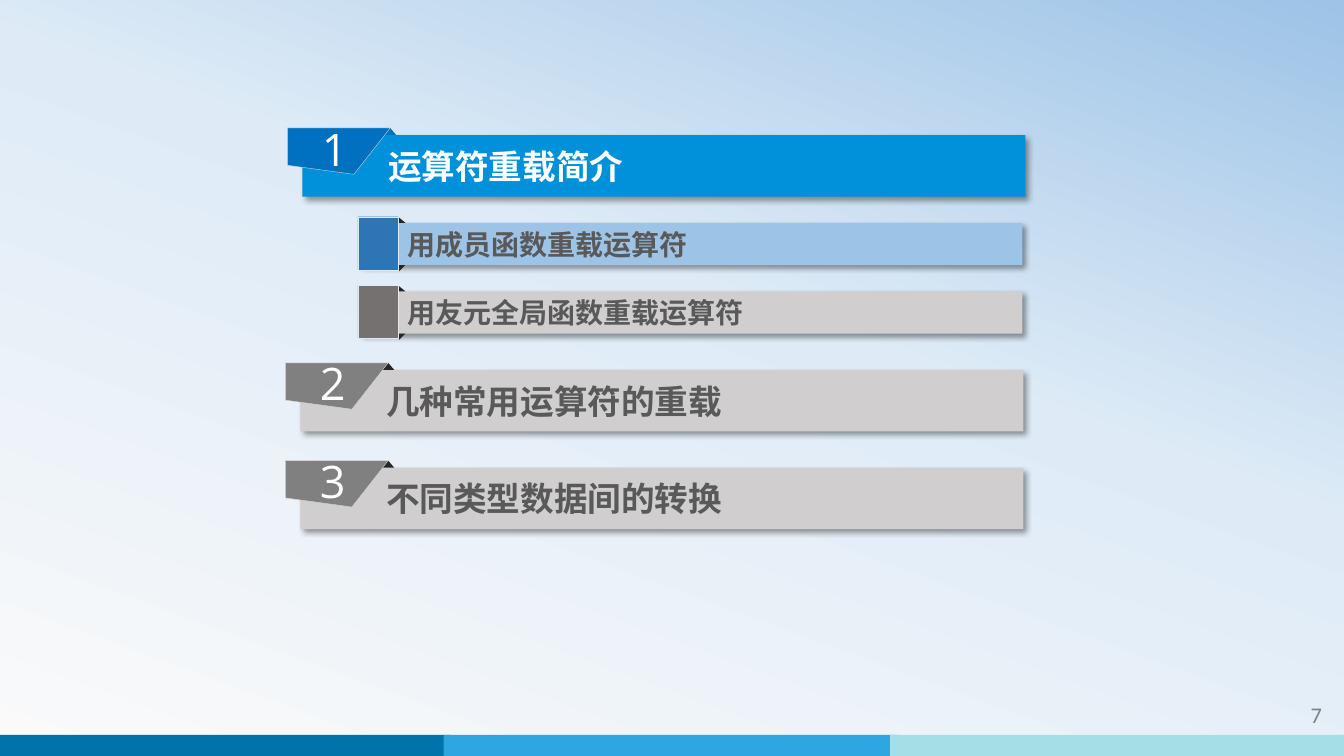
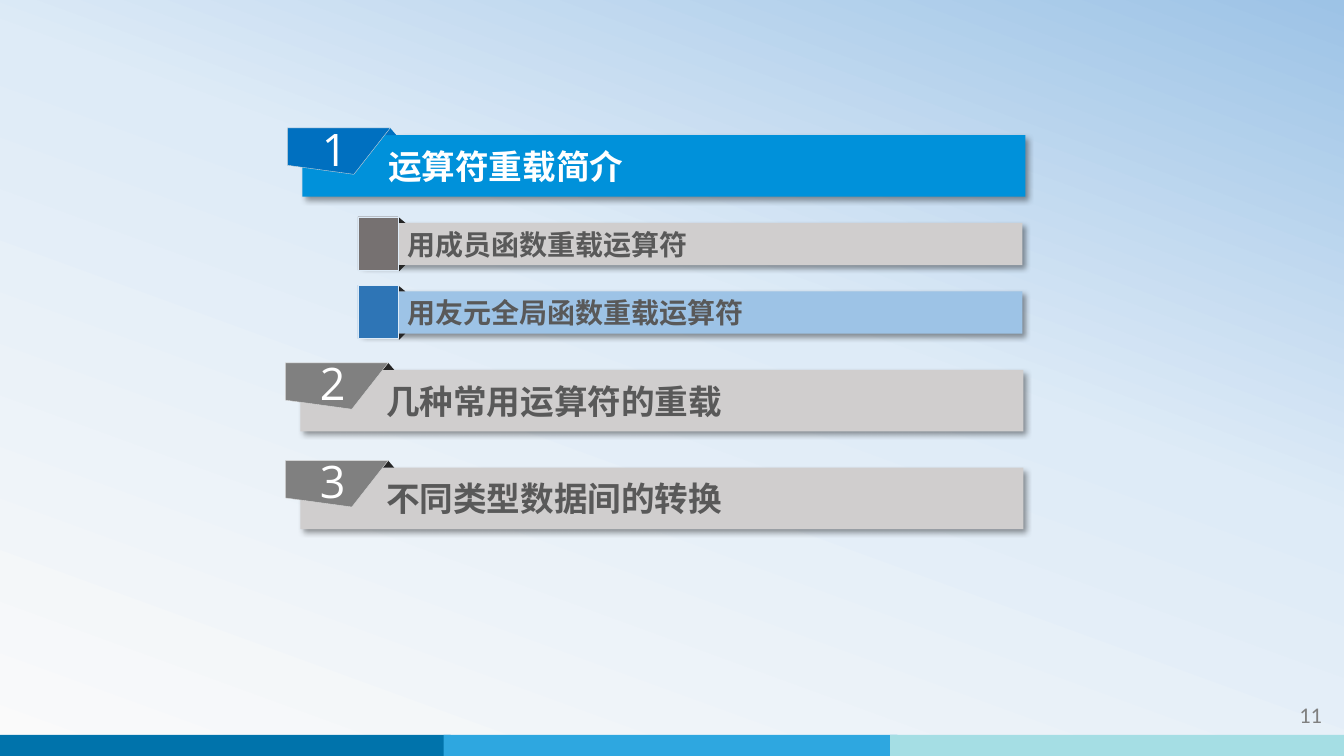
from copy import deepcopy

from lxml import etree
from pptx import Presentation
from pptx.dml.color import RGBColor
from pptx.enum.shapes import MSO_SHAPE
from pptx.enum.text import MSO_ANCHOR, PP_ALIGN
from pptx.oxml.ns import qn
from pptx.util import Inches, Pt

RECT, TRIANGLE = MSO_SHAPE.RECTANGLE, MSO_SHAPE.ISOSCELES_TRIANGLE
LEFT, CENTER, RIGHT = PP_ALIGN.LEFT, PP_ALIGN.CENTER, PP_ALIGN.RIGHT
MIDDLE, TOP = MSO_ANCHOR.MIDDLE, MSO_ANCHOR.TOP

WHITE = RGBColor(0xFF, 0xFF, 0xFF)
BLUE = RGBColor(0x00, 0x91, 0xDA)
DEEP_BLUE = RGBColor(0x00, 0x70, 0xC0)
MARK_BLUE = RGBColor(0x2E, 0x75, 0xB6)
SOFT_BLUE = RGBColor(0x9D, 0xC3, 0xE6)
PALE_BLUE = RGBColor(0xDE, 0xEB, 0xF7)
OFF_WHITE = RGBColor(0xFA, 0xFA, 0xFA)
SILVER = RGBColor(0xD0, 0xCE, 0xCE)
EDGE = RGBColor(0xD9, 0xD9, 0xD9)
GRAY = RGBColor(0x80, 0x80, 0x80)
MARK_GRAY = RGBColor(0x76, 0x71, 0x71)
TEXT_GRAY = RGBColor(0x59, 0x59, 0x59)
FOLD = RGBColor(0x26, 0x26, 0x26)
BANDS = [(-0.03, RGBColor(0x00, 0x73, 0xAB)),
         (4.4, RGBColor(0x2E, 0xA7, 0xE0)),
         (8.83, RGBColor(0xA5, 0xDE, 0xE4))]
BACKGROUND = [(0, OFF_WHITE), (0.58, PALE_BLUE), (1, SOFT_BLUE)]

CJK, DIGIT, FOOTER = "Noto Sans CJK SC", "Open Sans", "Calibri"

OUTLINE = [
    ("运算符重载简介", ["用成员函数重载运算符", "用友元全局函数重载运算符"]),
    ("几种常用运算符的重载", []),
    ("不同类型数据间的转换", []),
]
SLIDES = [("7", "用成员函数重载运算符"), ("11", "用友元全局函数重载运算符")]

FIRST_TOP = 1.34
CHAPTER_W, CHAPTER_H, CHAPTER_GAP = 7.17, 0.61, 0.36
SECTION_X, SECTION_W, SECTION_H, SECTION_GAP = 3.57, 6.57, 0.42, 0.26
TAG = [(0, 0), (1.02, 0), (0.66, 0.46), (0, 0.37)]


def paint(sp, fill, line=None):
    sp.shadow.inherit = False
    sp.fill.solid()
    sp.fill.fore_color.rgb = fill
    if line is None:
        sp.line.fill.background()
    else:
        sp.line.color.rgb = line
        sp.line.width = Pt(0.25)
    return sp


def add_box(shapes, kind, x, y, w, h, fill, line=None):
    sp = shapes.add_shape(kind, Inches(x), Inches(y), Inches(w), Inches(h))
    return paint(sp, fill, line)


def add_shadow(sp):
    effects = sp._element.spPr.find(qn("a:effectLst"))
    shadow = etree.SubElement(effects, qn("a:outerShdw"), blurRad=str(Pt(4)),
                              dist=str(Pt(3)), dir="2700000", algn="tl", rotWithShape="0")
    color = etree.SubElement(shadow, qn("a:srgbClr"), val="000000")
    etree.SubElement(color, qn("a:alpha"), val="40000")


def write(sp, text, font, size, color, align=LEFT, anchor=MIDDLE,
          insets=(0.1, 0.05, 0.1, 0.05), bold=False):
    tf = sp.text_frame
    tf.word_wrap = True
    tf.vertical_anchor = anchor
    tf.margin_left, tf.margin_top, tf.margin_right, tf.margin_bottom = map(Inches, insets)
    p = tf.paragraphs[0]
    p.alignment = align
    r = p.add_run()
    r.text = text
    r.font.name, r.font.size, r.font.bold = font, Pt(size), bold
    r.font.color.rgb = color
    etree.SubElement(r.font._element, qn("a:ea"), typeface=font)


def add_bar(shapes, x, y, w, h, fill, text, size, color, indent):
    bar = add_box(shapes, RECT, x, y, w, h, fill)
    add_shadow(bar)
    write(bar, text, CJK, size, color, insets=(indent, 0.05, 0.1, 0.05), bold=True)


def add_chapter(s, y, number, title, active):
    x = 3 if active else 2.98
    bar_fill, tag_fill, fold_fill, color = (
        (BLUE, DEEP_BLUE, DEEP_BLUE, WHITE) if active else (SILVER, GRAY, FOLD, TEXT_GRAY))
    shapes = s.shapes.add_group_shape().shapes
    add_bar(shapes, x, y, CHAPTER_W, CHAPTER_H, bar_fill, title, 24, color, 0.85)
    add_box(shapes, TRIANGLE, x + 0.81, y - 0.07, 0.12, 0.07, fold_fill)
    corners = [(Inches(x - 0.15 + dx), Inches(y - 0.07 + dy)) for dx, dy in TAG]
    builder = shapes.build_freeform(*corners[0])
    builder.add_line_segments(corners[1:], close=True)
    tag = paint(builder.convert_to_shape(), tag_fill, EDGE)
    write(tag, str(number), DIGIT, 32, WHITE, CENTER, insets=(0.09, 0.04, 0.17, 0.1))


def add_section(s, y, title, active):
    bar_fill, mark_fill = (SOFT_BLUE, MARK_BLUE) if active else (SILVER, MARK_GRAY)
    shapes = s.shapes.add_group_shape().shapes
    add_bar(shapes, SECTION_X, y, SECTION_W, SECTION_H, bar_fill, title, 20, TEXT_GRAY, 0.47)
    for fold_y, fold_h, turn in ((y - 0.05, 0.05, 0), (y + SECTION_H, 0.06, 180)):
        fold = add_box(shapes, TRIANGLE, SECTION_X + 0.33, fold_y, 0.12, fold_h, FOLD)
        fold.rotation = turn
    add_box(shapes, RECT, SECTION_X - 0.02, y - 0.06, 0.4, 0.53, mark_fill, PALE_BLUE)


def style_master(prs, s):
    master = prs.slide_master
    fill = master.background.fill
    fill.gradient()
    fill.gradient_angle = 70
    stops = master.element.find(".//" + qn("a:gsLst"))
    stops.append(deepcopy(stops[0]))
    for stop, (position, color) in zip(fill.gradient_stops, BACKGROUND):
        stop.position = position
        stop.color.rgb = color
    for x, color in BANDS:
        band = add_box(s.shapes, RECT, x, 7.29, 4.5, 0.21, color)
        master.shapes.element.append(band._element)


def add_outline(s, page, current):
    number_box = s.shapes.add_textbox(Inches(11.62), Inches(6.91), Inches(1.59), Inches(0.4))
    write(number_box, page, FOOTER, 16, GRAY, RIGHT, TOP)
    y = FIRST_TOP
    for number, (title, sections) in enumerate(OUTLINE, 1):
        add_chapter(s, y, number, title, current in sections)
        y += CHAPTER_H
        for section in sections:
            y += SECTION_GAP
            add_section(s, y, section, section == current)
            y += SECTION_H
        y += CHAPTER_GAP


def main():
    prs = Presentation()
    prs.slide_width, prs.slide_height = Inches(13.33), Inches(7.5)
    slides = [prs.slides.add_slide(prs.slide_layouts[6]) for _ in SLIDES]
    style_master(prs, slides[0])
    for s, (page, current) in zip(slides, SLIDES):
        add_outline(s, page, current)
    prs.save("out.pptx")


if __name__ == "__main__":
    main()
